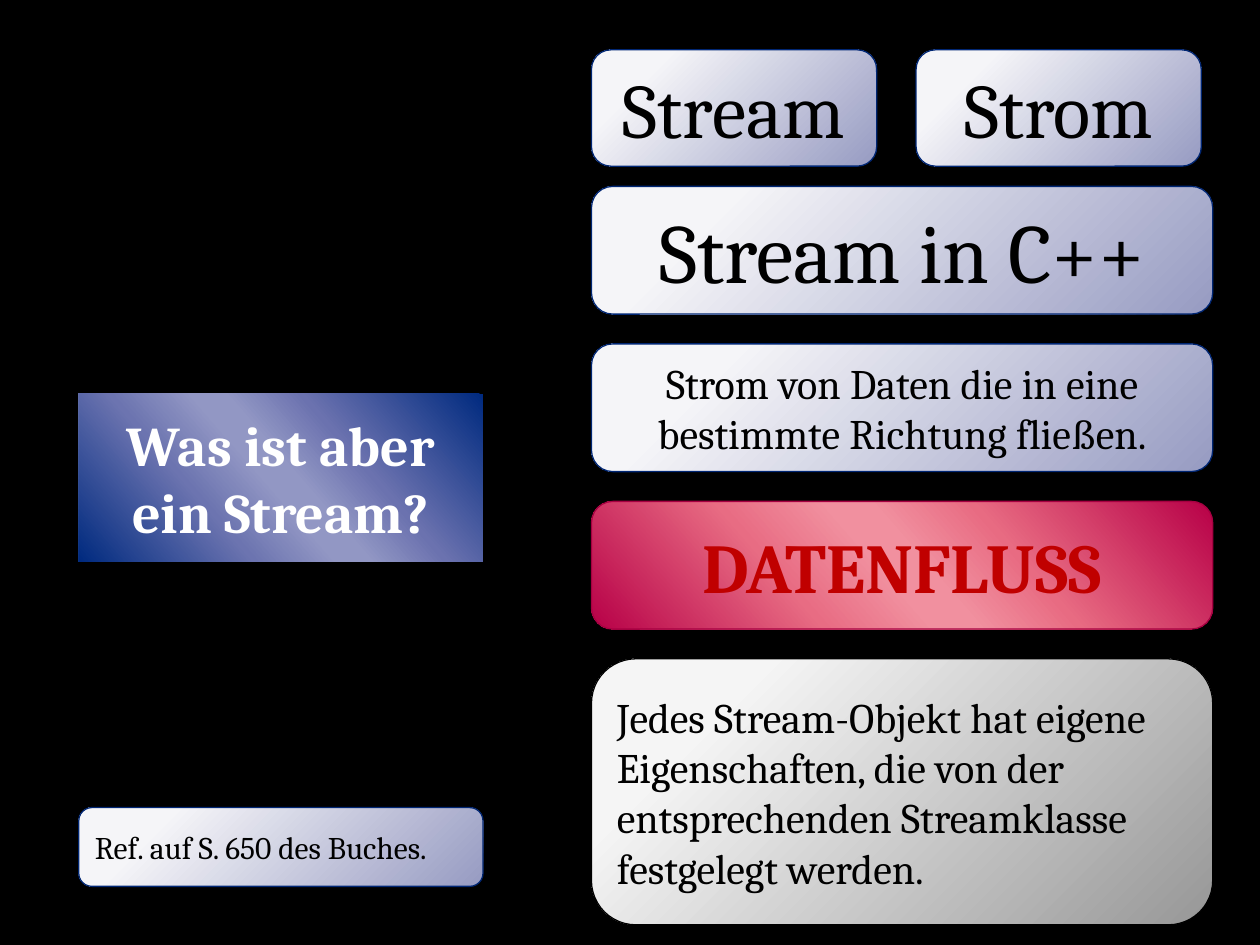
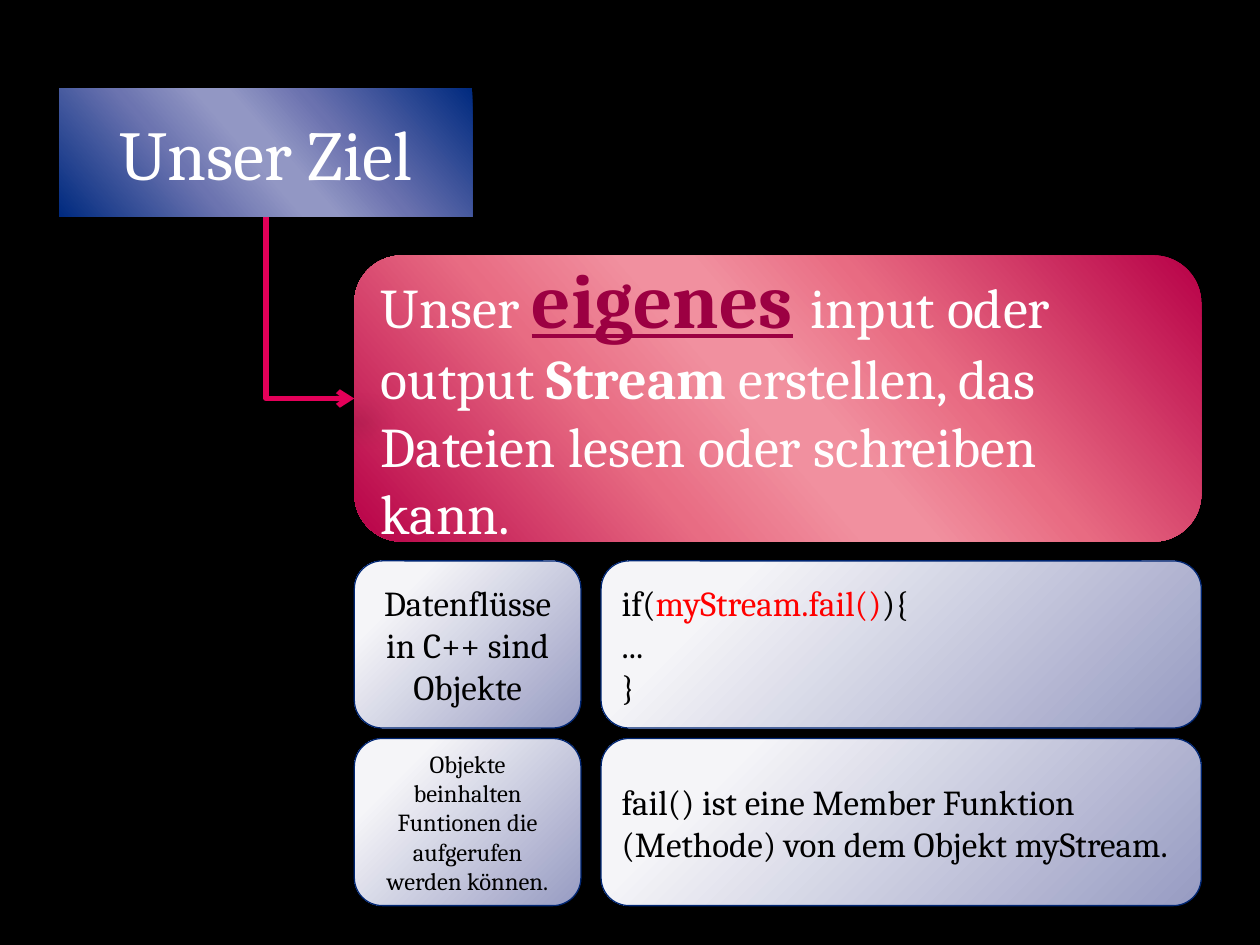
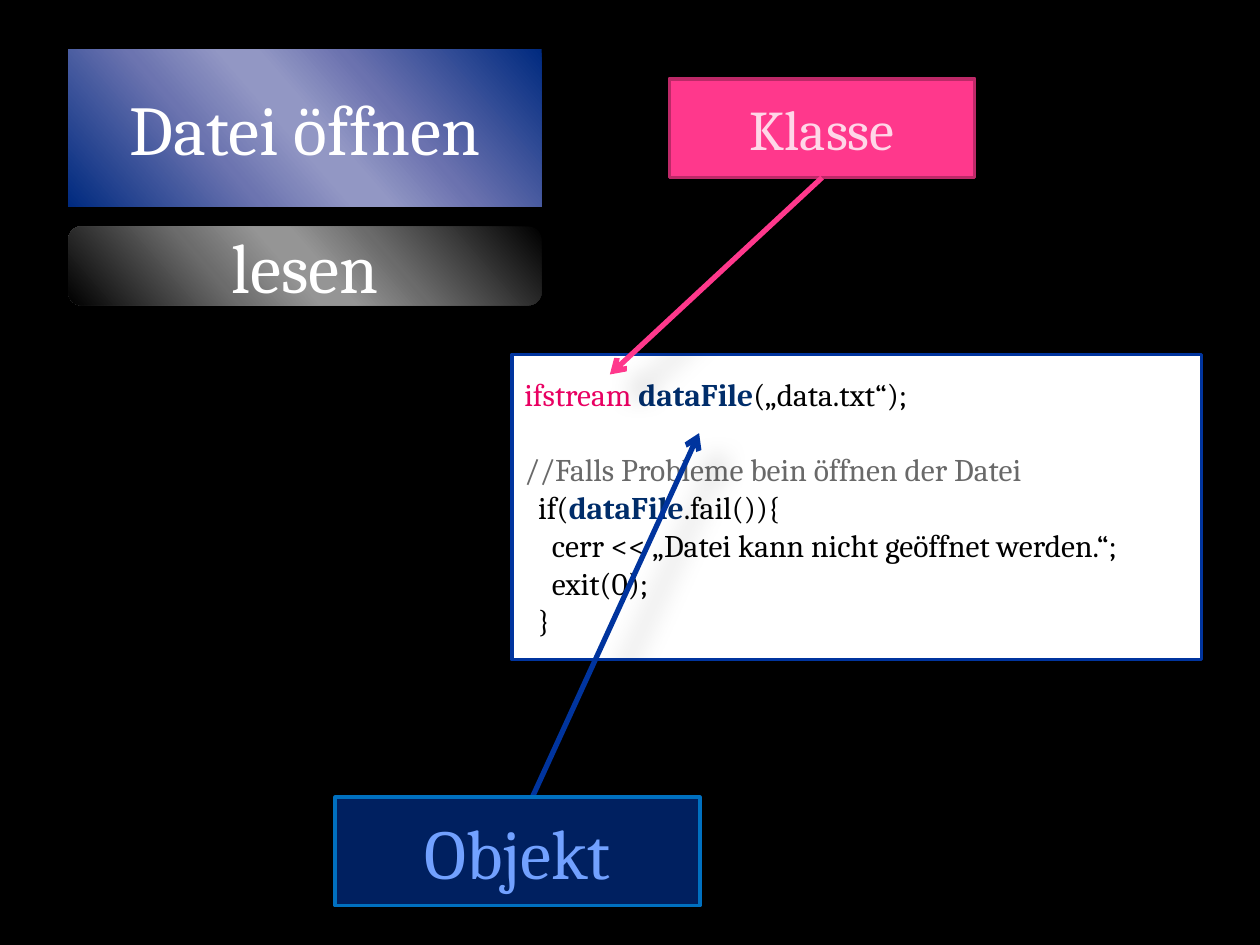
from pptx import Presentation
from pptx.dml.color import RGBColor
from pptx.enum import shapes, text
from pptx.oxml import ns, parse_xml
from pptx.util import Pt

FONT = "Cambria"
ROUND = shapes.MSO_SHAPE.ROUNDED_RECTANGLE
RECT = shapes.MSO_SHAPE.RECTANGLE
CENTER = text.PP_ALIGN.CENTER
LEFT = text.PP_ALIGN.LEFT

BLACK, WHITE = "000000", "FFFFFF"
NAVY, PINK, OBJECT_NAME = "00349E", "FF388C", "002D6A"
EDGE_BLUE = "002673"

GLOSS_POSITIONS = (0, 33, 47, 53, 68, 100)
BLUE_GLOSS = ("002A7F", "6B72AF", "9297C4", "9297C4", "6C74B0", "002A7F")
RED_GLOSS = ("B70047", "E86B82", "F1909F", "F1909F", "E86C83", "B70047")
BLACK_GLOSS = ("000000", "6B6B6B", "959595", "959595", "6C6C6C", "000000")
PALE_POSITIONS = (20, 100)
PALE_BLUE = ("F5F5F8", "979BC2")
PALE_GREY = ("F5F5F5", "979797")

STRONG_SHADOW = (26, 15, 18)
SOFT_SHADOW = (35, 10.2, 8)


def rgb(value):
    return RGBColor.from_string(value)


def gradient(colours):
    glossy = len(colours) == len(GLOSS_POSITIONS)
    positions = GLOSS_POSITIONS if glossy else PALE_POSITIONS
    stops = "".join(
        f'<a:gs pos="{pos * 1000}"><a:srgbClr val="{colour}"/></a:gs>'
        for pos, colour in zip(positions, colours))
    if glossy:
        direction = '<a:lin ang="8340000" scaled="1"/>'
    else:
        direction = ('<a:path path="circle"><a:fillToRect l="-15000" t="-15000" '
                     'r="115000" b="115000"/></a:path>')
    return parse_xml(f'<a:gradFill {ns.nsdecls("a")} rotWithShape="1">'
                     f'<a:gsLst>{stops}</a:gsLst>{direction}</a:gradFill>')


def cast_shadow(item, shadow):
    alpha, blur, distance = shadow
    item._element.spPr.append(parse_xml(
        f'<a:effectLst {ns.nsdecls("a")}><a:outerShdw blurRad="{Pt(blur)}" '
        f'dist="{Pt(distance)}" dir="2700000" algn="br" rotWithShape="0">'
        f'<a:srgbClr val="{BLACK}"><a:alpha val="{alpha * 1000}"/></a:srgbClr>'
        '</a:outerShdw></a:effectLst>'))


def paint(shape, fill, edge=None, edge_width=0.75):
    if isinstance(fill, str):
        shape.fill.solid()
        shape.fill.fore_color.rgb = rgb(fill)
    else:
        shape.fill.background()
        properties = shape._element.spPr
        properties.replace(properties.find(ns.qn("a:noFill")), gradient(fill))
    if edge:
        shape.line.color.rgb = rgb(edge)
        shape.line.width = Pt(edge_width)
    else:
        shape.line.fill.background()
    if isinstance(fill, str):
        shape.shadow.inherit = False
    else:
        cast_shadow(shape, STRONG_SHADOW if len(fill) > 2 else SOFT_SHADOW)


def write(shape, content, size, colour=BLACK, align=CENTER, bold=False):
    frame = shape.text_frame
    frame.word_wrap = True
    frame.auto_size = text.MSO_AUTO_SIZE.NONE
    frame.vertical_anchor = text.MSO_ANCHOR.MIDDLE
    lines = [content] if isinstance(content, str) else content
    for index, line in enumerate(lines):
        paragraph = frame.paragraphs[0] if index == 0 else frame.add_paragraph()
        paragraph.alignment = align
        font = paragraph.font
        font.name, font.size, font.bold = FONT, Pt(size), bold
        font.color.rgb = rgb(colour)
        for part in [(line, {})] if isinstance(line, str) else line:
            words, changes = part
            run = paragraph.add_run()
            run.text = words
            for key, value in changes.items():
                if key == "colour":
                    run.font.color.rgb = rgb(value)
                else:
                    setattr(run.font, key, value)


def place(shape, box):
    shape.left, shape.top, shape.width, shape.height = map(Pt, box)


def add_titled_slide(prs, title, box, size=40, bold=False):
    slide = prs.slides.add_slide(prs.slide_layouts[5])
    heading = slide.shapes.title
    place(heading, box)
    heading._element.spPr.append(parse_xml(
        f'<a:prstGeom {ns.nsdecls("a")} prst="roundRect"><a:avLst/></a:prstGeom>'))
    paint(heading, BLUE_GLOSS)
    write(heading, title, size, WHITE, bold=bold)
    return slide


def add_card(slide, box, content, size, fill=PALE_BLUE, edge=EDGE_BLUE, **style):
    card = slide.shapes.add_shape(ROUND, *map(Pt, box))
    paint(card, fill, edge)
    write(card, content, size, **style)
    return card


def add_label(slide, box, content, size, fill, edge, **style):
    label = slide.shapes.add_shape(RECT, *map(Pt, box))
    paint(label, fill, edge, 2)
    write(label, content, size, **style)
    return label


def finish_arrow(arrow, colour):
    arrow.line.color.rgb = rgb(colour)
    arrow.line.width = Pt(3)
    arrow._element.spPr.find(ns.qn("a:ln")).append(
        parse_xml(f'<a:tailEnd {ns.nsdecls("a")} type="arrow"/>'))
    cast_shadow(arrow, STRONG_SHADOW)


def add_arrow(slide, start, end, colour):
    arrow = slide.shapes.add_connector(
        shapes.MSO_CONNECTOR.STRAIGHT, *map(Pt, start + end))
    finish_arrow(arrow, colour)
    return arrow


def add_down_right_arrow(slide, start, end, colour):
    mid_x, mid_y = (start[0] + end[0]) / 2, (start[1] + end[1]) / 2
    half_run, half_drop = (end[0] - start[0]) / 2, (end[1] - start[1]) / 2
    arrow = slide.shapes.add_connector(
        shapes.MSO_CONNECTOR.ELBOW,
        Pt(mid_x + half_drop), Pt(mid_y - half_run),
        Pt(mid_x - half_drop), Pt(mid_y + half_run))
    properties = arrow._element.spPr
    properties.find(ns.qn("a:xfrm")).set("rot", "16200000")
    properties.find(ns.qn("a:prstGeom")).set("prst", "bentConnector2")
    finish_arrow(arrow, colour)


def build_stream_slide(prs):
    slide = add_titled_slide(prs, "Was ist aber ein Stream?",
                             (45, 225, 231, 96), 32, True)
    left, width, top, step, height = 338, 355, 106.5, 90, 73
    for index, word in enumerate(("Stream", "Strom")):
        add_card(slide, (left + index * 185.5, 28.5, 163, 66.5), word, 44)
    definition = (
        ("Stream in C++", 48, {}),
        ("Strom von Daten die in eine bestimmte Richtung fließen.", 24, {}),
        ("DATENFLUSS", 40, {"fill": RED_GLOSS, "edge": "A60041",
                            "colour": "C00000", "bold": True}),
    )
    for row, (words, size, style) in enumerate(definition):
        add_card(slide, (left, top + row * step, width, height), words, size, **style)
    add_card(slide, (left, top + 3 * step, width, 152),
             "Jedes Stream-Objekt hat eigene Eigenschaften, die von der "
             "entsprechenden Streamklasse festgelegt werden.",
             24, PALE_GREY, BLACK, align=LEFT)
    add_card(slide, (45, 461.5, 231, 45), "Ref. auf S. 650 des Buches.", 18, align=LEFT)


def build_goal_slide(prs):
    slide = add_titled_slide(prs, "Unser Ziel", (34, 50.5, 236, 73.5))
    goal = [[
        ("Unser ", {}),
        ("eigenes", {"size": Pt(44), "colour": "9C0042", "bold": True,
                     "underline": True}),
        (" ", {"size": Pt(44)}),
        ("input oder output ", {}),
        ("Stream", {"bold": True}),
        (" erstellen, das Dateien lesen oder schreiben kann.", {}),
    ]]
    add_card(slide, (202.5, 146, 484, 163.5), goal, 32, RED_GLOSS, None,
             colour=WHITE, align=LEFT)
    add_down_right_arrow(slide, (152, 124), (202.5, 227.75), "E40059")
    fail_check = [
        [("if(", {}), ("myStream.fail()", {"colour": "FF0000"}), ("){", {})],
        "...",
        "}",
    ]
    explanations = (
        ("Datenflüsse in C++ sind Objekte", 20, fail_check),
        ("Objekte beinhalten Funtionen die aufgerufen werden können.", 14,
         "fail() ist eine Member Funktion (Methode) von dem Objekt myStream."),
    )
    for row, (concept, size, example) in enumerate(explanations):
        top = 320.5 + row * 101.5
        add_card(slide, (202.5, top, 129.5, 95.5), concept, size)
        add_card(slide, (343.5, top, 343, 95.5), example, 20, align=LEFT)


def build_open_file_slide(prs):
    slide = add_titled_slide(prs, "Datei öffnen", (39, 28, 270.5, 90))
    data_file = ("dataFile", {"colour": OBJECT_NAME, "bold": True})
    code = [
        [("ifstream ", {"colour": "E90062"}), data_file, ("(„data.txt“);", {})],
        [("//Falls Probleme bein öffnen der Datei", {"colour": "696969"})],
        [("  if(", {}), data_file, (".fail()){", {})],
        "    cerr << „Datei kann nicht geöffnet werden.“;",
        "    exit(0);",
        "  }",
    ]
    listing = add_label(slide, (292.5, 202.5, 394, 174.5), code, 18, WHITE, NAVY,
                        align=LEFT)
    listing.text_frame.paragraphs[1].space_before = Pt(21.5)
    add_card(slide, (39, 129.5, 270.5, 45), "lesen", 40, BLACK_GLOSS, None, colour=WHITE)
    class_label = add_label(slide, (382.5, 45, 174.5, 56.5), "Klasse", 32,
                            PINK, "BD2968", colour="FFD7E8")
    class_arrow = add_arrow(slide, (469.75, 101.5), (348.5, 214), PINK)
    class_arrow.begin_connect(class_label, 2)
    add_arrow(slide, (304, 456), (399.5, 247.5), NAVY)
    add_label(slide, (191.5, 455.5, 208.5, 62), "Objekt", 40,
              "002060", "0070C0", colour="72A1FF")


def main():
    prs = Presentation()
    prs.slide_width, prs.slide_height = Pt(720), Pt(540)
    backdrop = prs.slide_master.background.fill
    backdrop.solid()
    backdrop.fore_color.rgb = rgb(BLACK)
    build_stream_slide(prs)
    build_goal_slide(prs)
    build_open_file_slide(prs)
    prs.save("out.pptx")


if __name__ == "__main__":
    main()
